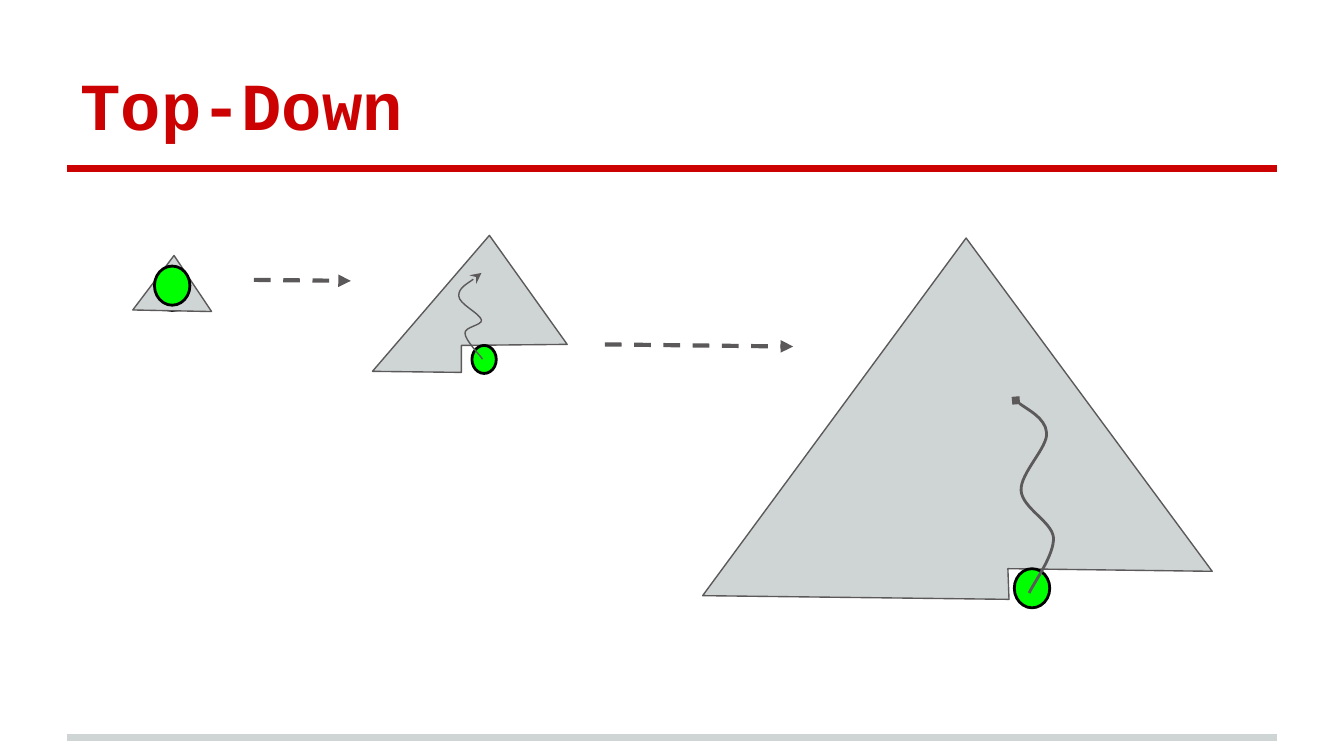
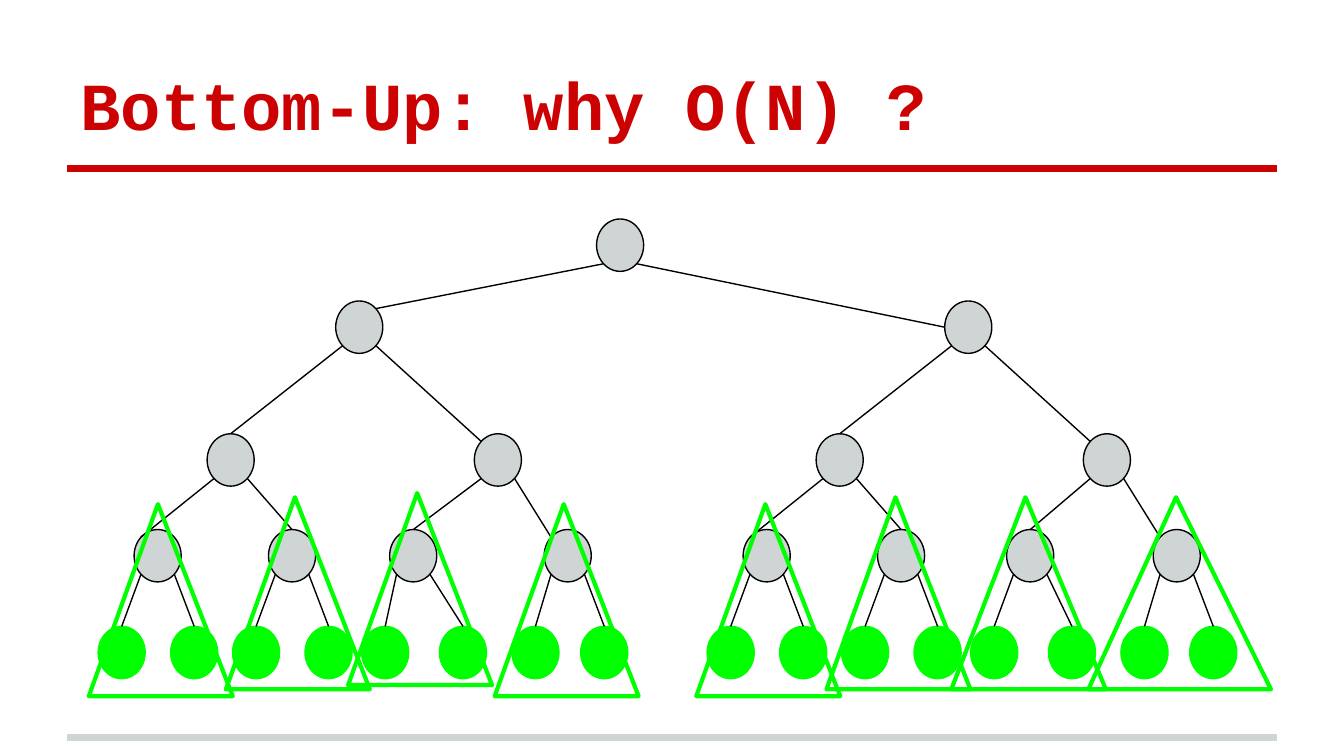
from lxml import etree
from pptx import Presentation
from pptx.dml.color import RGBColor
from pptx.enum.dml import MSO_LINE
from pptx.enum.shapes import MSO_CONNECTOR, MSO_SHAPE
from pptx.enum.text import MSO_ANCHOR
from pptx.oxml.ns import qn
from pptx.util import Cm, Pt

OVAL = MSO_SHAPE.OVAL
TRIANGLE = MSO_SHAPE.ISOSCELES_TRIANGLE
STRAIGHT = MSO_CONNECTOR.STRAIGHT
DASH = MSO_LINE.DASH
BOTTOM = MSO_ANCHOR.BOTTOM

RED, GREY, GREEN, BLACK, DARK = "CC0202", "CFD4D4", "00FF00", "000000", "5B595A"
TITLE_FONT = "Courier New"
MARGIN, CONTENT_WIDTH = 1.27, 22.86

# Tree nodes: size, level tops and centres relative to a subtree's box
NODE_W, NODE_H = 0.89, 0.99
LEVEL_TOPS = [0, 2.51, 4.32, 6.15]
LEVEL_CENTRES = [
    [4.94],
    [2.51, 7.56],
    [1.13, 3.67, 5.96, 8.88],
    [0.45, 1.82, 2.99, 4.36, 5.43, 6.9, 8.27, 9.57],
]

# Directions from a node's centre to the points where edges meet its rim
DIAGONAL = 0.71
TOP, LEFT = (0, -1), (-1, 0)
TOP_LEFT, TOP_RIGHT = (-DIAGONAL, -DIAGONAL), (DIAGONAL, -DIAGONAL)
LOWER_SIDES = [(-DIAGONAL, DIAGONAL), (DIAGONAL, DIAGONAL)]
EDGE_ENDS = [None, [TOP, TOP_LEFT], [TOP_LEFT, TOP, TOP, TOP_LEFT], [TOP] * 8]


def color(hex_code):
    return RGBColor.from_string(hex_code)


def style_line(line, hex_code, width):
    line.color.rgb = color(hex_code)
    line.width = Pt(width)


def add_tail(item, kind):
    outline = item._element.xpath(".//a:ln")[0]
    etree.SubElement(outline, qn("a:tailEnd"), type=kind)


def style_shape(shape, fill, line, width):
    shape.shadow.inherit = False
    if fill:
        shape.fill.solid()
        shape.fill.fore_color.rgb = color(fill)
    else:
        shape.fill.background()
    style_line(shape.line, line, width)


def add_preset(slide, kind, box, fill, line, width):
    shape = slide.shapes.add_shape(kind, *map(Cm, box))
    style_shape(shape, fill, line, width)
    return shape


def add_line(slide, start, end, hex_code, width):
    line = slide.shapes.add_connector(STRAIGHT, *map(Cm, (*start, *end)))
    style_line(line.line, hex_code, width)
    etree.SubElement(line._element.spPr, qn("a:effectLst"))
    return line


def add_outline(slide, left, top, points, close):
    corners = [(Cm(left + x), Cm(top + y)) for x, y in points]
    builder = slide.shapes.build_freeform(*corners[0])
    builder.add_line_segments(corners[1:], close=close)
    return builder.convert_to_shape()


def add_polygon(slide, left, top, points):
    polygon = add_outline(slide, left, top, points, True)
    style_shape(polygon, GREY, DARK, 0.75)


def add_curve(slide, left, top, points, width, tail):
    """Every three points after the first form one Bézier segment."""
    curve = add_outline(slide, left, top, points, False)
    segments = curve._element.xpath(".//a:lnTo")
    for i in range(0, len(segments), 3):
        bezier = etree.Element(qn("a:cubicBezTo"))
        segments[i].addprevious(bezier)
        for segment in segments[i:i + 3]:
            bezier.append(segment[0])
            segment.getparent().remove(segment)
    style_shape(curve, None, DARK, width)
    add_tail(curve, tail)


def add_titled_slide(prs, title):
    slide = prs.slides.add_slide(prs.slide_layouts[6])
    # Footer rule and title rule
    for y, hex_code in [(13.94, GREY), (3.18, RED)]:
        add_line(slide, (MARGIN, y), (MARGIN + CONTENT_WIDTH, y), hex_code, 4)
    # Title
    heading = slide.shapes.add_textbox(Cm(MARGIN), Cm(0.58), Cm(CONTENT_WIDTH), Cm(2.39))
    frame = heading.text_frame
    frame.word_wrap = True
    frame.vertical_anchor = BOTTOM
    frame.margin_left = frame.margin_right = Cm(0.25)
    frame.margin_top = frame.margin_bottom = Cm(0.25)
    paragraph = frame.paragraphs[0]
    paragraph.text = title
    font = paragraph.font
    font.name, font.size, font.bold = TITLE_FONT, Pt(36), True
    font.color.rgb = color(RED)
    return slide


def add_heap_node(slide, left, top, x, y, w=0.67, h=0.74):
    add_preset(slide, OVAL, (left + x, top + y, w, h), GREEN, BLACK, 1.5)


def single_node_heap(slide, left, top):
    add_heap_node(slide, left, top, 0.41, 0.3)
    add_polygon(slide, left, top, [(0.78, 0), (0, 1.03), (1.49, 1.06)])
    add_heap_node(slide, left, top, 0.41, 0.2)


def medium_heap(slide, left, top):
    add_polygon(slide, left, top, [
        (2.21, 0), (0, 2.57), (1.68, 2.59), (1.68, 2.08), (3.68, 2.06)])
    add_heap_node(slide, left, top, 1.88, 2.08, 0.46, 0.53)
    add_curve(slide, left, top, [
        (2.08, 2.34),
        (2.03, 2.26), (1.75, 1.98), (1.75, 1.85),
        (1.73, 1.73), (2.08, 1.7), (2.06, 1.6),
        (2.03, 1.47), (1.63, 1.3), (1.63, 1.14),
        (1.63, 0.99), (1.98, 0.79), (2.06, 0.71)], 0.75, "stealth")


def large_heap(slide, left, top):
    add_polygon(slide, left, top, [
        (4.98, 0), (0, 6.76), (5.79, 6.83), (5.77, 6.25), (9.63, 6.3)])
    add_heap_node(slide, left, top, 5.89, 6.25)
    add_curve(slide, left, top, [
        (6.17, 6.71),
        (6.25, 6.53), (6.65, 5.99), (6.63, 5.66),
        (6.6, 5.36), (6.05, 5.11), (6.02, 4.78),
        (5.99, 4.45), (6.53, 3.96), (6.5, 3.68),
        (6.48, 3.4), (6.02, 3.18), (5.92, 3.07)], 1.5, "diamond")


def top_down_slide(prs):
    slide = add_titled_slide(prs, "Top-Down")
    large_heap(slide, 13.28, 4.5)
    single_node_heap(slide, 2.51, 4.83)
    medium_heap(slide, 7.04, 4.45)
    # Growth arrows
    for start, end in [((4.8, 5.29), (6.63, 5.31)), ((11.43, 6.51), (14.99, 6.55))]:
        arrow = add_line(slide, start, end, DARK, 2.25)
        arrow.line.dash_style = DASH
        add_tail(arrow, "triangle")


def add_tree_node(slide, x, top, fill=GREY, line=BLACK):
    """Draws a node and returns its centre."""
    add_preset(slide, OVAL, (x - NODE_W / 2, top, NODE_W, NODE_H), fill, line, 0.75)
    return x, top + NODE_H / 2


def rim(centre, direction):
    return (centre[0] + direction[0] * NODE_W / 2,
            centre[1] + direction[1] * NODE_H / 2)


def add_edge(slide, parent, side, child, end):
    add_line(slide, rim(parent, LOWER_SIDES[side]), rim(child, end), BLACK, 0.75)


def subtree(slide, left, top, inner_shift=0):
    """Draws four levels and returns the centre of the subtree's root."""
    parents = []
    for level, (y, centres) in enumerate(zip(LEVEL_TOPS, LEVEL_CENTRES)):
        colors = (GREEN, GREEN) if level == 3 else (GREY, BLACK)
        nodes = []
        for i, x in enumerate(centres):
            shift = inner_shift if (level, i) == (2, 2) else 0
            nodes.append(add_tree_node(slide, left + x + shift, top + y, *colors))
            if parents:
                add_edge(slide, parents[i // 2], i % 2, nodes[i], EDGE_ENDS[level][i])
        if level == 0:
            root = nodes[0]
        parents = nodes
    return root


def small_heaps(slide, left, top, heaps):
    for x, y, width in heaps:
        heap = add_preset(slide, TRIANGLE, (left + x, top + y, width, 3.63),
                          None, GREEN, 2.25)
        heap.adjustments[0] = 0.48


def bottom_up_slide(prs):
    slide = add_titled_slide(prs, "Bottom-Up: why O(N) ?")
    top, left_half, right_half = 5.69, 1.85, 13.36
    # Tree
    root = add_tree_node(slide, 11.72, 4.14)
    add_edge(slide, root, 0, subtree(slide, left_half, top), TOP_RIGHT)
    add_edge(slide, root, 1, subtree(slide, right_half, top, 0.15), LEFT)
    # Heaps of three nodes
    small_heaps(slide, left_half, top, [
        (-0.17, 3.84, 2.72), (2.42, 3.71, 2.72), (4.73, 3.63, 2.72), (7.5, 3.84, 2.72)])
    small_heaps(slide, right_half, top, [
        (-0.2, 3.84, 2.72), (2.26, 3.71, 2.72), (4.62, 3.71, 2.92), (7.21, 3.71, 3.45)])


def main():
    prs = Presentation()
    prs.slide_width, prs.slide_height = Cm(25.4), Cm(14.29)
    top_down_slide(prs)
    bottom_up_slide(prs)
    prs.save("out.pptx")


if __name__ == "__main__":
    main()
